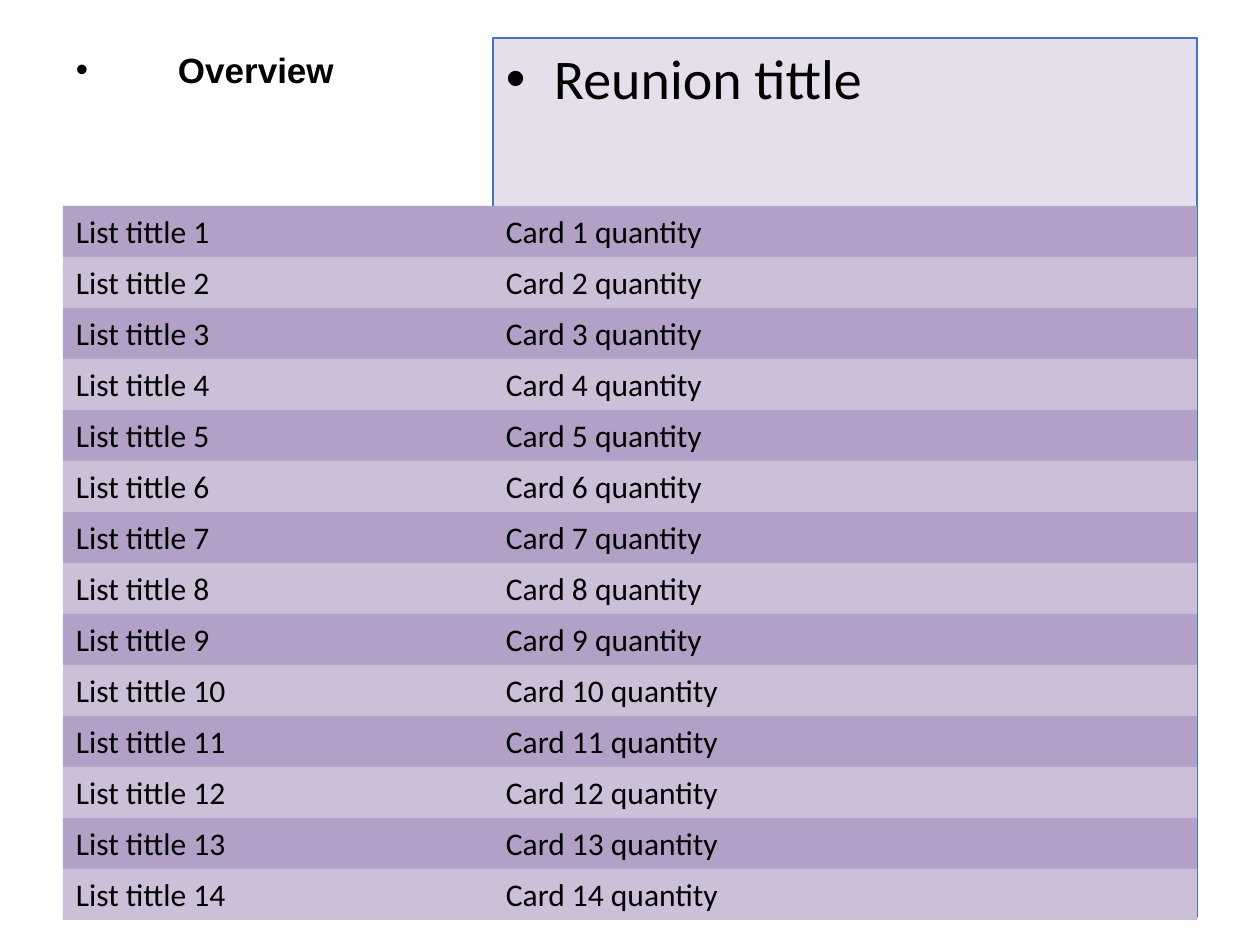
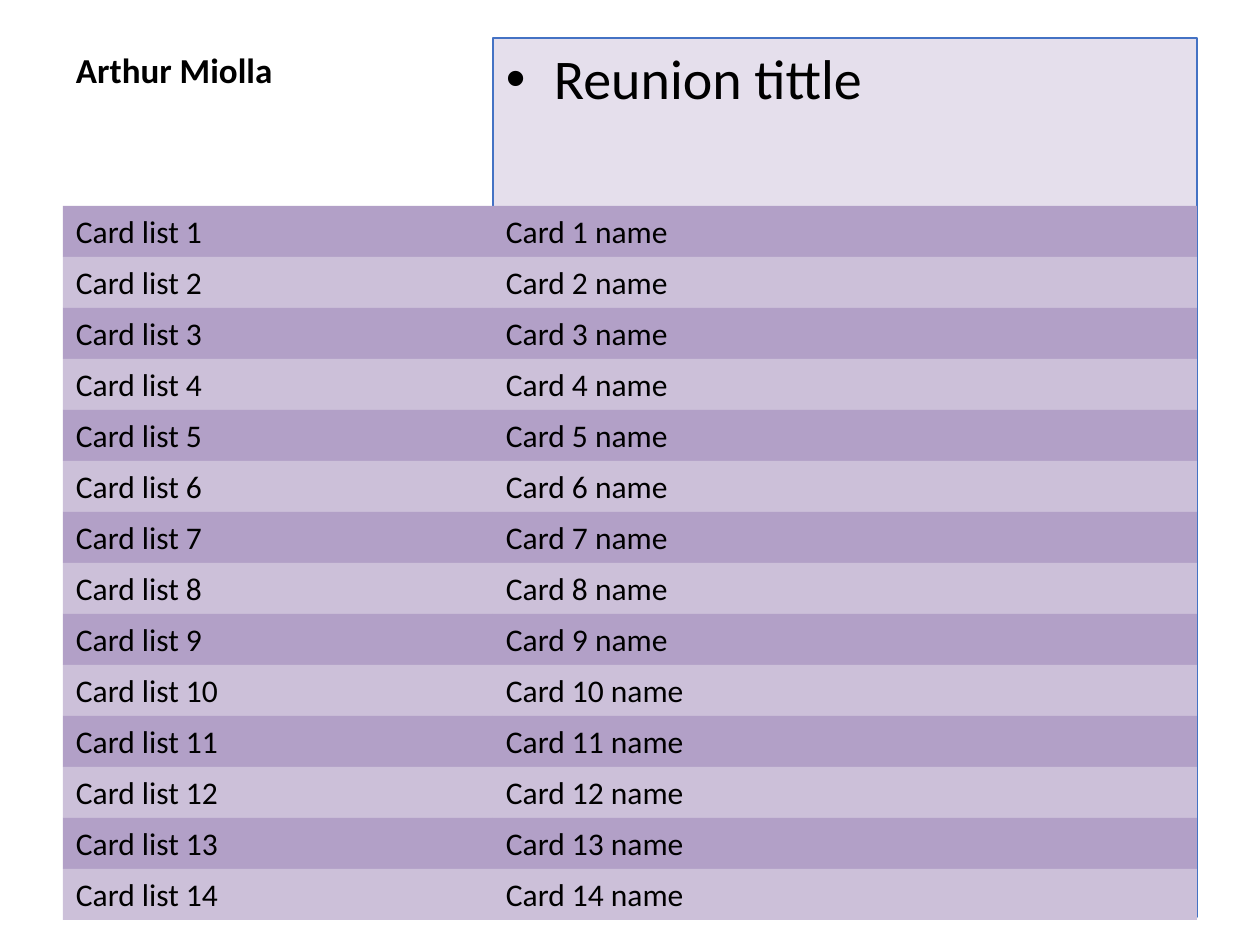
from pptx import Presentation
from pptx.dml.color import RGBColor
from pptx.enum.shapes import MSO_SHAPE
from pptx.enum.text import MSO_ANCHOR, MSO_AUTO_SIZE, PP_ALIGN
from pptx.oxml import parse_xml
from pptx.oxml.ns import nsdecls
from pptx.util import Emu, Pt

EMU_PER_PX = 914400 / 126
INK, PANEL, PANEL_LINE = "000000", "E5DFEC", "4472C4"
ROW_FILLS = ("B2A0C7", "CCC0D9")

# Boxes are left, top, width, height in px
PAGE_SIZE = (1260, 945)
TITLE_BOX = (63, 38, 415, 59)
PANEL_BOX = (493, 38, 704, 879)
ROWS_BOX = (63, 206, 1134, 714)
LABEL_WIDTH = 430
ROW_COUNT = 14
INSETS = {"margin_left": 13, "margin_right": 13, "margin_top": 6, "margin_bottom": 6}

TITLE_FONT = {"name": "Calibri", "size": Pt(20), "bold": True}
HEADING_FONT = {"name": "Calibri", "size": Pt(32)}
ROW_FONT = {"name": "Calibri", "size": Pt(18)}


def px(length):
    return Emu(round(length * EMU_PER_PX))


def color(hex_string):
    return RGBColor.from_string(hex_string)


def set_values(target, values):
    for name, value in values.items():
        setattr(target, name, value)


def place(shape, box):
    names = ("left", "top", "width", "height")
    set_values(shape, dict(zip(names, map(px, box))))


def add_bullet(para, indent):
    """Hang the paragraph behind a round bullet."""
    props = para._p.get_or_add_pPr()
    props.set("marL", str(px(indent)))
    props.set("indent", str(-px(indent)))
    for tag in (
        f'<a:buClr {nsdecls("a")}><a:srgbClr val="{INK}"/></a:buClr>',
        f'<a:buFont {nsdecls("a")} typeface="Arial"/>',
        f'<a:buChar {nsdecls("a")} char="•"/>',
    ):
        props.append(parse_xml(tag))


def write(shape, text, font, frame_format, align=PP_ALIGN.LEFT, indent=0):
    frame = shape.text_frame
    margins = {side: px(inset) for side, inset in INSETS.items()}
    set_values(frame, {"word_wrap": True, **margins, **frame_format})
    para = frame.paragraphs[0]
    para.alignment = align
    if indent:
        add_bullet(para, indent)
    span = para.add_run()
    span.text = text
    set_values(span.font, font)
    span.font.color.rgb = color(INK)


def add_rectangle(page, box, fill, line=None):
    shape = page.shapes.add_shape(MSO_SHAPE.RECTANGLE, *map(px, box))
    shape.shadow.inherit = False
    shape.fill.solid()
    shape.fill.fore_color.rgb = color(fill)
    if line:
        shape.line.color.rgb = color(line)
        shape.line.width = Pt(0.75)
    else:
        shape.line.fill.background()
    return shape


def add_title(page, box, text, font, **layout):
    title = page.shapes.title
    place(title, box)
    frame_format = {"vertical_anchor": MSO_ANCHOR.BOTTOM, "auto_size": MSO_AUTO_SIZE.NONE}
    write(title, text, {**TITLE_FONT, **font}, frame_format, **layout)


def add_heading_panel(page, box):
    panel = add_rectangle(page, box, PANEL, PANEL_LINE)
    write(panel, "Reunion tittle", HEADING_FONT,
          {"vertical_anchor": MSO_ANCHOR.TOP}, indent=48)


def add_rows(page, box, label, card):
    """Fill the box with banded rows of a label and a card cell."""
    left, top, width, height = box
    row_height = height // ROW_COUNT
    columns = ((left, LABEL_WIDTH, label),
               (left + LABEL_WIDTH, width - LABEL_WIDTH, card))
    frame_format = {"vertical_anchor": MSO_ANCHOR.TOP,
                    "auto_size": MSO_AUTO_SIZE.SHAPE_TO_FIT_TEXT}
    for index in range(ROW_COUNT):
        row_top = top + index * row_height
        for cell_left, cell_width, pattern in columns:
            cell = add_rectangle(page, (cell_left, row_top, cell_width, row_height),
                                 ROW_FILLS[index % 2])
            write(cell, pattern.format(index + 1), ROW_FONT, frame_format)


def add_list_page(deck, title, label, card, font=None, **layout):
    page = deck.slides.add_slide(deck.slide_layouts[5])
    add_title(page, TITLE_BOX, title, font or {}, **layout)
    add_heading_panel(page, PANEL_BOX)
    add_rows(page, ROWS_BOX, label, card)


def main():
    deck = Presentation()
    deck.slide_width, deck.slide_height = map(px, PAGE_SIZE)
    # Overview of all lists
    add_list_page(deck, "Overview", "List tittle {}", "Card {} quantity",
                  font={"name": "Arial"}, align=PP_ALIGN.JUSTIFY, indent=102)
    # Cards of one member
    add_list_page(deck, "Arthur Miolla", "Card list {}", "Card {} name")
    deck.save("out.pptx")


if __name__ == "__main__":
    main()
